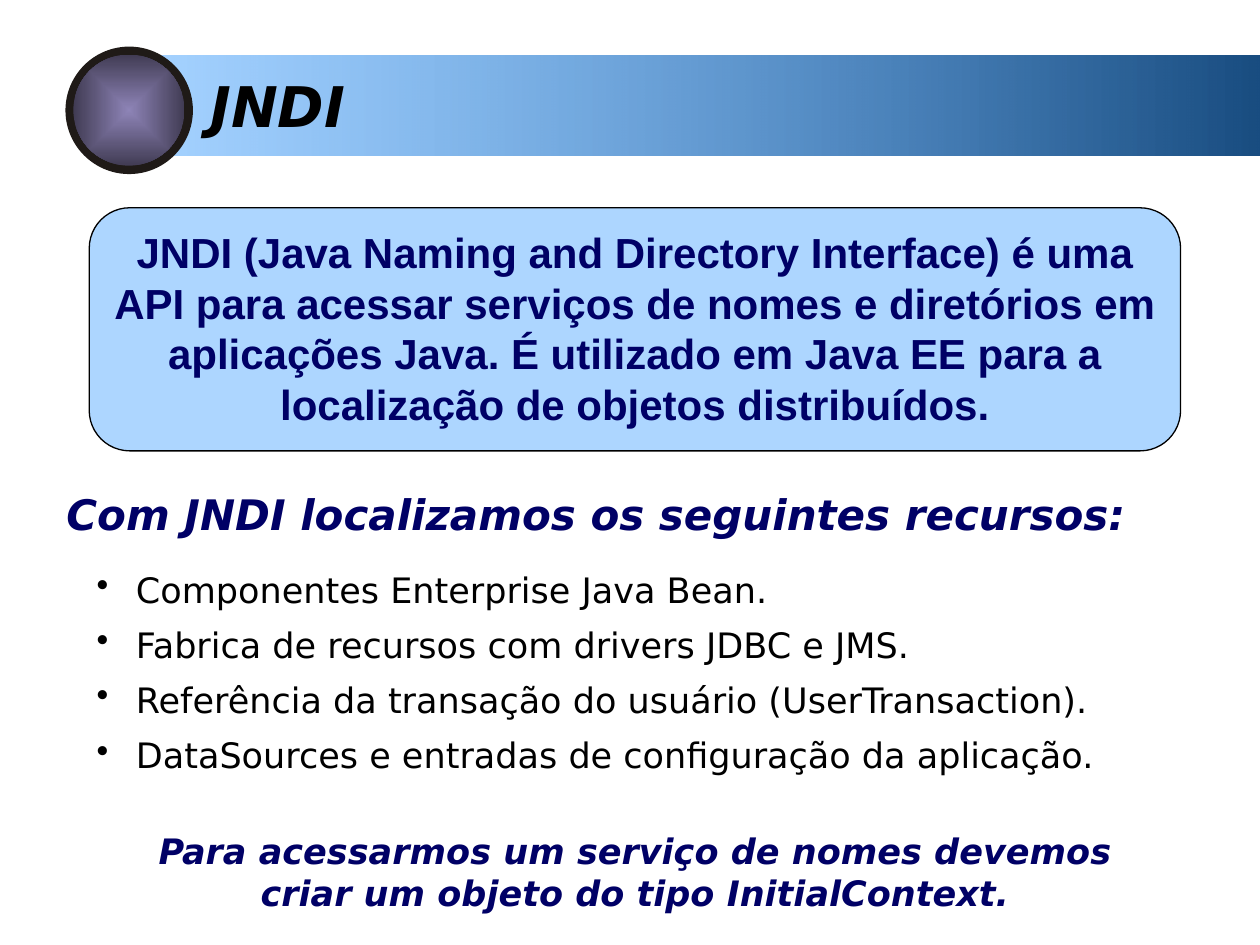
import pptx
import pptx.dml.color
import pptx.enum.shapes
import pptx.enum.text
import pptx.oxml
import pptx.oxml.ns
import pptx.util
from pptx.util import Cm

RGBColor = pptx.dml.color.RGBColor
SHAPE = pptx.enum.shapes.MSO_SHAPE
ALIGN = pptx.enum.text.PP_ALIGN
qn = pptx.oxml.ns.qn

BLACK = RGBColor(0x00, 0x00, 0x00)
NAVY = RGBColor(0x00, 0x00, 0x66)
SKY = RGBColor(0x33, 0x99, 0xFF)
DEEP_BLUE = RGBColor(0x19, 0x4D, 0x81)
RING_DARK = RGBColor(0x1F, 0x1A, 0x17)
LILAC = RGBColor(0x8E, 0x84, 0xB7)
PLUM = RGBColor(0x41, 0x3C, 0x54)

presentation = pptx.Presentation()
presentation.slide_width, presentation.slide_height = Cm(25.4), Cm(19.05)
slide = presentation.slides.add_slide(presentation.slide_layouts[6])


def add_plain_shape(kind, left, top, width, height, colors, opacity=None):
    """Add a lineless shape; two colours make a gradient, and opacity (%) applies to SKY."""
    shape = slide.shapes.add_shape(kind, Cm(left), Cm(top), Cm(width), Cm(height))
    shape.shadow.inherit = False
    shape.line.fill.background()
    if len(colors) == 1:
        shape.fill.solid()
        shape.fill.fore_color.rgb = colors[0]
    else:
        shape.fill.gradient()
        for stop, color, position in zip(shape.fill.gradient_stops, colors, (0, 1)):
            stop.color.rgb = color
            stop.position = position
    if opacity:
        for color_element in shape.element.spPr.iter(qn("a:srgbClr")):
            if color_element.get("val") == str(SKY):
                alpha = color_element.makeelement(qn("a:alpha"), {"val": str(opacity * 1000)})
                color_element.append(alpha)
    return shape


def add_text(left, top, width, height, lines, font_format, align=ALIGN.LEFT):
    frame = slide.shapes.add_textbox(Cm(left), Cm(top), Cm(width), Cm(height)).text_frame
    frame.word_wrap = True
    frame.text = "\n".join(lines)
    for paragraph in frame.paragraphs:
        paragraph.alignment = align
        for run in paragraph.runs:
            for name, value in font_format["font"].items():
                setattr(run.font, name, value)
            run.font.color.rgb = font_format["color"]
    return frame


title_format = {"color": BLACK, "font": {
    "name": "DejaVu Sans", "size": pptx.util.Pt(32), "bold": True, "italic": True}}
definition_format = {"color": NAVY, "font": {
    "name": "Arial", "size": pptx.util.Pt(24), "bold": True}}
heading_format = {"color": NAVY, "font": {
    "name": "DejaVu Sans", "size": pptx.util.Pt(24), "bold": True, "italic": True}}
resource_format = {"color": BLACK, "font": {
    "name": "DejaVu Sans", "size": pptx.util.Pt(20)}}
closing_format = {"color": NAVY, "font": {
    "name": "DejaVu Sans", "size": pptx.util.Pt(20), "bold": True, "italic": True}}

# Title bar with its round ornament
title_bar = add_plain_shape(SHAPE.RECTANGLE, 3.1, 1.12, 22.3, 2.01, (DEEP_BLUE, SKY), 44)
title_bar.fill.gradient_angle = 180
add_text(3.99, 1.32, 21.41, 1.63, ["JNDI"], title_format)

add_plain_shape(SHAPE.OVAL, 1.32, 0.94, 2.57, 2.57, (RING_DARK,))
disk = add_plain_shape(SHAPE.OVAL, 1.48, 1.1, 2.24, 2.24, (LILAC, PLUM))
linear = disk.element.spPr.find(".//" + qn("a:lin"))
linear.getparent().replace(linear, pptx.oxml.parse_xml(
    f'<a:path {pptx.oxml.ns.nsdecls("a")} path="rect">'
    '<a:fillToRect l="50000" t="50000" r="50000" b="50000"/></a:path>'))

# Definition
definition_box = add_plain_shape(SHAPE.ROUNDED_RECTANGLE, 1.8, 4.19, 22, 4.9, (SKY,), 40)
definition_box.line.color.rgb = BLACK
definition_box.line.width = pptx.util.Pt(0.75)
add_text(2.03, 4.45, 21.54, 4.32, [
    "JNDI (Java Naming and Directory Interface) é uma API para acessar serviços "
    "de nomes e diretórios em aplicações Java. É utilizado em Java EE para a "
    "localização de objetos distribuídos."], definition_format, ALIGN.CENTER)

# Resources
resources = add_text(1.7, 11.33, 21.41, 4.45, [
    "Componentes Enterprise Java Bean.",
    "Fabrica de recursos com drivers JDBC e JMS.",
    "Referência da transação do usuário (UserTransaction).",
    "DataSources e entradas de configuração da aplicação.",
], resource_format)
for resource in resources.paragraphs:
    resource.space_before = pptx.util.Pt(7.5)
    properties = resource._p.get_or_add_pPr()
    properties.set("marL", str(Cm(0.79)))
    properties.set("indent", str(-Cm(0.79)))
    properties.append(properties.makeelement(qn("a:buChar"), {"char": "•"}))

add_text(1.09, 9.73, 22.81, 1.27,
         ["Com JNDI localizamos os seguintes recursos:"], heading_format)
add_text(1.91, 16.59, 21.79, 1.96, [
    "Para acessarmos um serviço de nomes devemos criar um objeto do tipo "
    "InitialContext."], closing_format, ALIGN.CENTER)

presentation.save("out.pptx")
